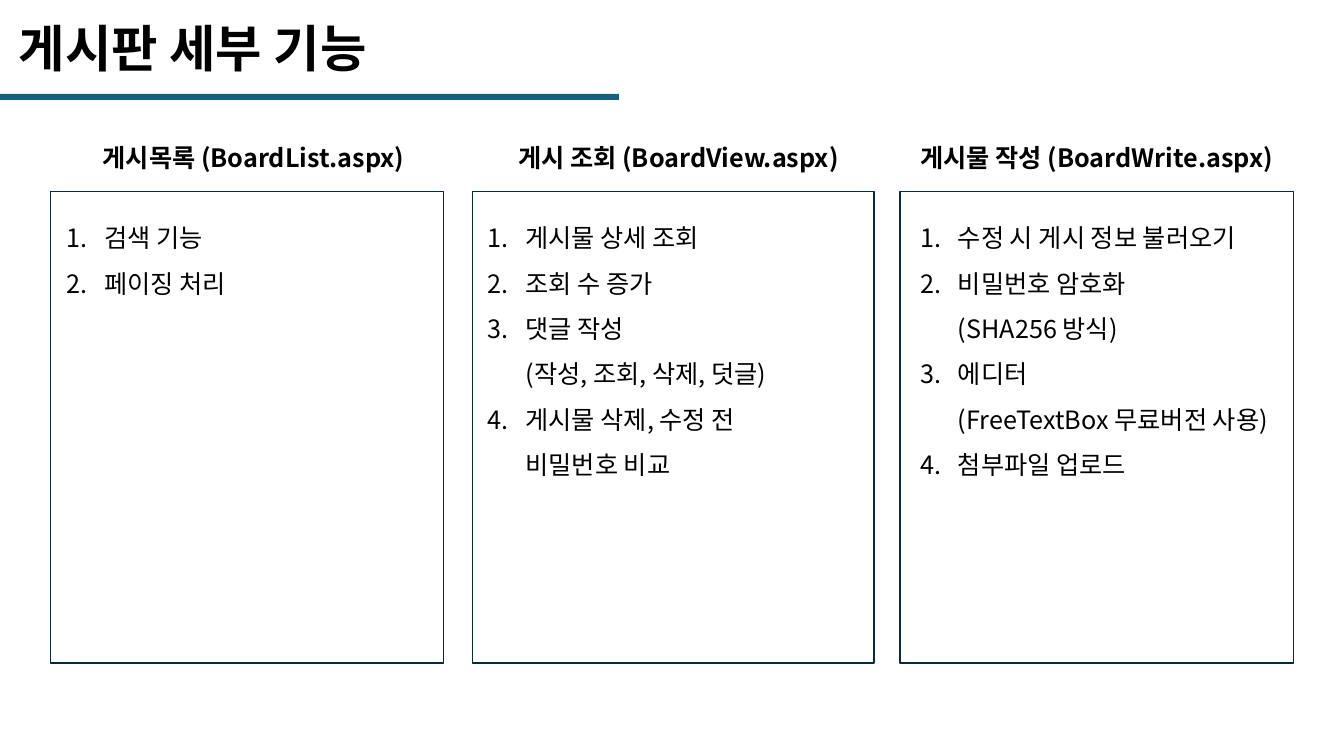
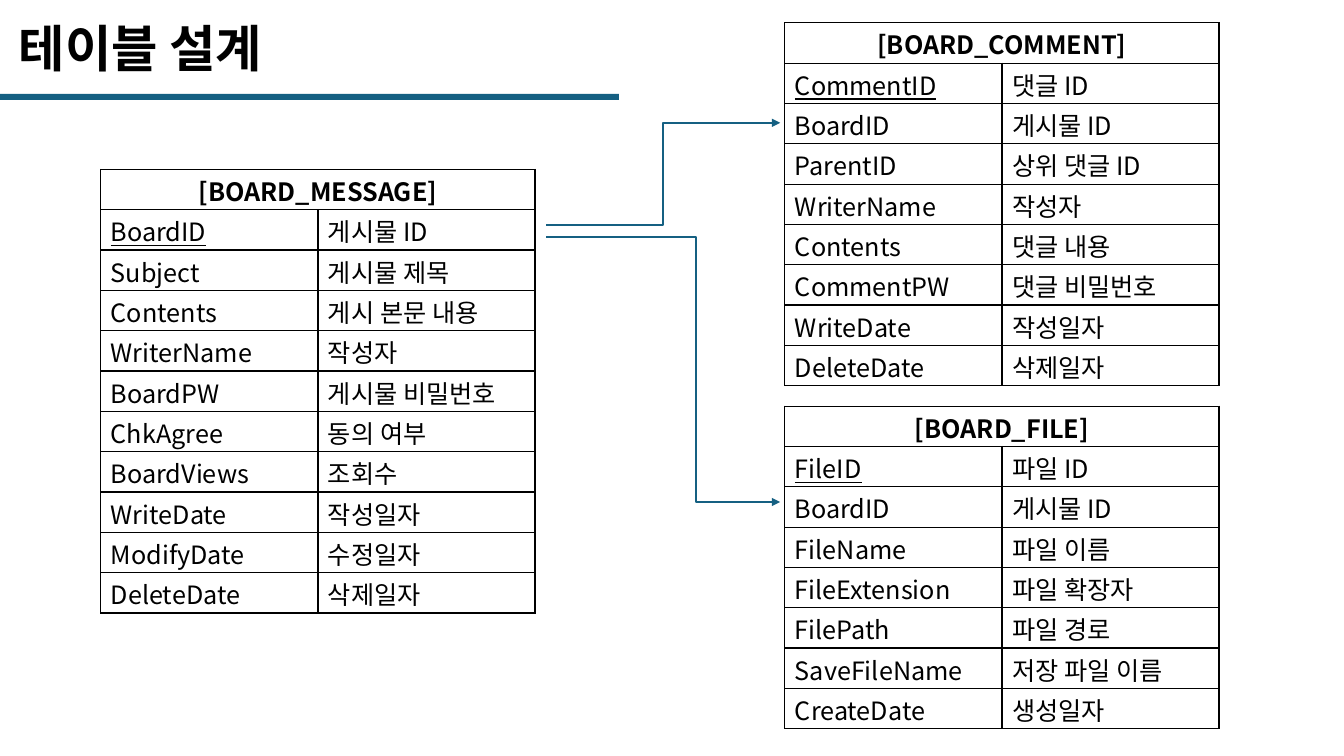
"""Build two slides on a bulletin board: its functions and its table design."""
from dataclasses import dataclass

import lxml.etree
import pptx
import pptx.dml.color
import pptx.enum.shapes
import pptx.enum.text
import pptx.oxml.ns
import pptx.presentation
import pptx.shapes.connector
import pptx.slide
import pptx.table
import pptx.text.text
import pptx.util

Pt = pptx.util.Pt
qn = pptx.oxml.ns.qn
Align = pptx.enum.text.PP_ALIGN
Anchor = pptx.enum.text.MSO_ANCHOR


@dataclass(frozen=True)
class Theme:
    font: str = "Noto Sans CJK KR"
    text: str = "000000"
    accent: str = "156082"
    frame: str = "092A39"
    title_size: float = 36
    body_size: float = 18
    thin_line: float = 1
    arrow_line: float = 1.5


@dataclass(frozen=True)
class Place:
    left: float
    top: float
    width: float
    height: float

    def points(self) -> tuple:
        return Pt(self.left), Pt(self.top), Pt(self.width), Pt(self.height)


@dataclass(frozen=True)
class Feature:
    heading: str
    items: tuple[str, ...]
    panel: Place
    heading_place: Place
    list_place: Place


@dataclass(frozen=True)
class Entity:
    name: str
    left: float
    top: float
    fields: tuple[tuple[str, str], ...]


@dataclass(frozen=True)
class Link:
    start: tuple[float, float]
    end: tuple[float, float]
    bend: float


THEME = Theme()
PANEL_TOP, PANEL_HEIGHT = 136.8, 336.8
HEADING_TOP, HEADING_HEIGHT = 98.4, 28.8
LIST_TOP, LIST_INDENT = 144.7, 27
ROW_HEIGHT, COLUMN_WIDTH = 28.8, 155.1


def feature(heading: str, items: tuple[str, ...], panel: tuple[float, float],
            heading_span: tuple[float, float], list_span: tuple[float, float]) -> Feature:
    return Feature(
        heading, items,
        Place(panel[0], PANEL_TOP, panel[1], PANEL_HEIGHT),
        Place(heading_span[0], HEADING_TOP, heading_span[1], HEADING_HEIGHT),
        Place(list_span[0], LIST_TOP, list_span[1], 199.4),
    )


FEATURES = (
    feature("게시목록 (BoardList.aspx)", ("검색 기능", "페이징 처리"),
            (36, 280.8), (54, 254.2), (40.3, 267.1)),
    feature("게시 조회 (BoardView.aspx)",
            ("게시물 상세 조회", "조회 수 증가", "댓글 작성\n(작성, 조회, 삭제, 덧글)",
             "게시물 삭제, 수정 전\n비밀번호 비교"),
            (337.7, 286.6), (341.3, 286.6), (341.3, 283)),
    feature("게시물 작성 (BoardWrite.aspx)",
            ("수정 시 게시 정보 불러오기", "비밀번호 암호화\n(SHA256 방식)",
             "에디터\n(FreeTextBox 무료버전 사용)", "첨부파일 업로드"),
            (643, 280.8), (643, 280.8), (650.2, 280.8)),
)

ENTITIES = (
    Entity("[BOARD_MESSAGE]", 72, 121, (
        ("BoardID", "게시물 ID"), ("Subject", "게시물 제목"),
        ("Contents", "게시 본문 내용"), ("WriterName", "작성자"),
        ("BoardPW", "게시물 비밀번호"), ("ChkAgree", "동의 여부"),
        ("BoardViews", "조회수"), ("WriteDate", "작성일자"),
        ("ModifyDate", "수정일자"), ("DeleteDate", "삭제일자"))),
    Entity("[BOARD_COMMENT]", 560.6, 16.3, (
        ("CommentID", "댓글 ID"), ("BoardID", "게시물 ID"),
        ("ParentID", "상위 댓글 ID"), ("WriterName", "작성자"),
        ("Contents", "댓글 내용"), ("CommentPW", "댓글 비밀번호"),
        ("WriteDate", "작성일자"), ("DeleteDate", "삭제일자"))),
    Entity("[BOARD_FILE]", 560.6, 290.1, (
        ("FileID", "파일 ID"), ("BoardID", "게시물 ID"),
        ("FileName", "파일 이름"), ("FileExtension", "파일 확장자"),
        ("FilePath", "파일 경로"), ("SaveFileName", "저장 파일 이름"),
        ("CreateDate", "생성일자"))),
)

LINKS = (
    Link((390.2, 160.6), (557.3, 87.8), 0.5),
    Link((390.2, 169.2), (557.3, 358.6), 0.64),
)


def color(value: str) -> pptx.dml.color.RGBColor:
    return pptx.dml.color.RGBColor.from_string(value)


def write(para: pptx.text.text._Paragraph, text: str, *, size: float = THEME.body_size,
          bold: bool = False, underline: bool = False,
          align: Align = Align.LEFT) -> None:
    para.alignment = align
    for number, line in enumerate(text.split("\n")):
        if number:
            para.add_line_break()
        span = para.add_run()
        span.text = line
        span.font.name = THEME.font
        span.font.size = Pt(size)
        span.font.bold = bold
        span.font.underline = underline
        span.font.color.rgb = color(THEME.text)
        east_asian = lxml.etree.SubElement(span.font._element, qn("a:ea"))
        east_asian.set("typeface", THEME.font)
        span.font._element.find(qn("a:latin")).addnext(east_asian)


def add_text(page: pptx.slide.Slide, place: Place) -> pptx.text.text.TextFrame:
    frame = page.shapes.add_textbox(*place.points()).text_frame
    frame.word_wrap = True
    frame.auto_size = pptx.enum.text.MSO_AUTO_SIZE.SHAPE_TO_FIT_TEXT
    return frame


def add_box(page: pptx.slide.Slide, place: Place, *, fill: str = "", line: str = "") -> None:
    box = page.shapes.add_shape(pptx.enum.shapes.MSO_SHAPE.RECTANGLE, *place.points())
    box.shadow.inherit = False
    if fill:
        box.fill.solid()
        box.fill.fore_color.rgb = color(fill)
    else:
        box.fill.background()
    if line:
        box.line.color.rgb = color(line)
        box.line.width = Pt(THEME.thin_line)
    else:
        box.line.fill.background()


def add_page(deck: pptx.presentation.Presentation, title: str) -> pptx.slide.Slide:
    page = deck.slides.add_slide(deck.slide_layouts[6])
    add_box(page, Place(0, 67, 442.1, 4.3), fill=THEME.accent)
    frame = add_text(page, Place(6.5, 8.6, 442.1, 51))
    write(frame.paragraphs[0], title, size=THEME.title_size, bold=True)
    return page


def number_item(para: pptx.text.text._Paragraph) -> None:
    para.line_spacing = 1.5
    properties = para._p.get_or_add_pPr()
    properties.set("marL", str(Pt(LIST_INDENT)))
    properties.set("indent", str(-Pt(LIST_INDENT)))
    lxml.etree.SubElement(properties, qn("a:buFont"), typeface="+mj-lt")
    lxml.etree.SubElement(properties, qn("a:buAutoNum"), type="arabicPeriod")


def add_feature(page: pptx.slide.Slide, item: Feature) -> None:
    add_box(page, item.panel, line=THEME.frame)
    heading = add_text(page, item.heading_place)
    write(heading.paragraphs[0], item.heading, bold=True, align=Align.CENTER)
    frame = add_text(page, item.list_place)
    for number, text in enumerate(item.items):
        para = frame.add_paragraph() if number else frame.paragraphs[0]
        write(para, text)
        number_item(para)


def format_cell(cell: pptx.table._Cell) -> None:
    cell.margin_top, cell.margin_bottom = Pt(2), Pt(0.7)
    properties = cell._tc.get_or_add_tcPr()
    for side in ("lnL", "lnR", "lnT", "lnB"):
        border = lxml.etree.SubElement(properties, qn(f"a:{side}"), w=str(Pt(THEME.thin_line)))
        fill = lxml.etree.SubElement(border, qn("a:solidFill"))
        lxml.etree.SubElement(fill, qn("a:srgbClr"), val=THEME.text)
    cell.fill.background()


def add_entity(page: pptx.slide.Slide, entity: Entity) -> None:
    rows = len(entity.fields) + 1
    place = Place(entity.left, entity.top, 2 * COLUMN_WIDTH, rows * ROW_HEIGHT)
    table = page.shapes.add_table(rows, 2, *place.points()).table
    table.first_row = table.horz_banding = False
    for row in table.rows:
        row.height = Pt(ROW_HEIGHT)
    for cell in table.iter_cells():
        format_cell(cell)
    header = table.cell(0, 0)
    header.merge(table.cell(0, 1))
    header.vertical_anchor = Anchor.MIDDLE
    write(header.text_frame.paragraphs[0], entity.name, bold=True, align=Align.CENTER)
    for row_number, field in enumerate(entity.fields, start=1):
        for column, text in enumerate(field):
            para = table.cell(row_number, column).text_frame.paragraphs[0]
            write(para, text, underline=row_number == 1 and column == 0)


def add_link(page: pptx.slide.Slide, link: Link) -> None:
    ends = [Pt(value) for value in link.start + link.end]
    arrow = page.shapes.add_connector(pptx.enum.shapes.MSO_CONNECTOR.ELBOW, *ends)
    arrow.line.color.rgb = color(THEME.accent)
    arrow.line.width = Pt(THEME.arrow_line)
    lxml.etree.SubElement(arrow.line._get_or_add_ln(), qn("a:tailEnd"), type="triangle")
    properties = arrow._element.spPr
    lxml.etree.SubElement(properties, qn("a:effectLst"))
    guides = properties.find(qn("a:prstGeom")).get_or_add_avLst()
    lxml.etree.SubElement(guides, qn("a:gd"), name="adj1", fmla=f"val {round(link.bend * 100000)}")


def main() -> None:
    deck = pptx.Presentation()
    deck.slide_width, deck.slide_height = Pt(960), Pt(540)
    page = add_page(deck, "게시판 세부 기능")
    for item in FEATURES:
        add_feature(page, item)
    page = add_page(deck, "테이블 설계")
    for entity in ENTITIES:
        add_entity(page, entity)
    for link in LINKS:
        add_link(page, link)
    deck.save("out.pptx")


if __name__ == "__main__":
    main()
